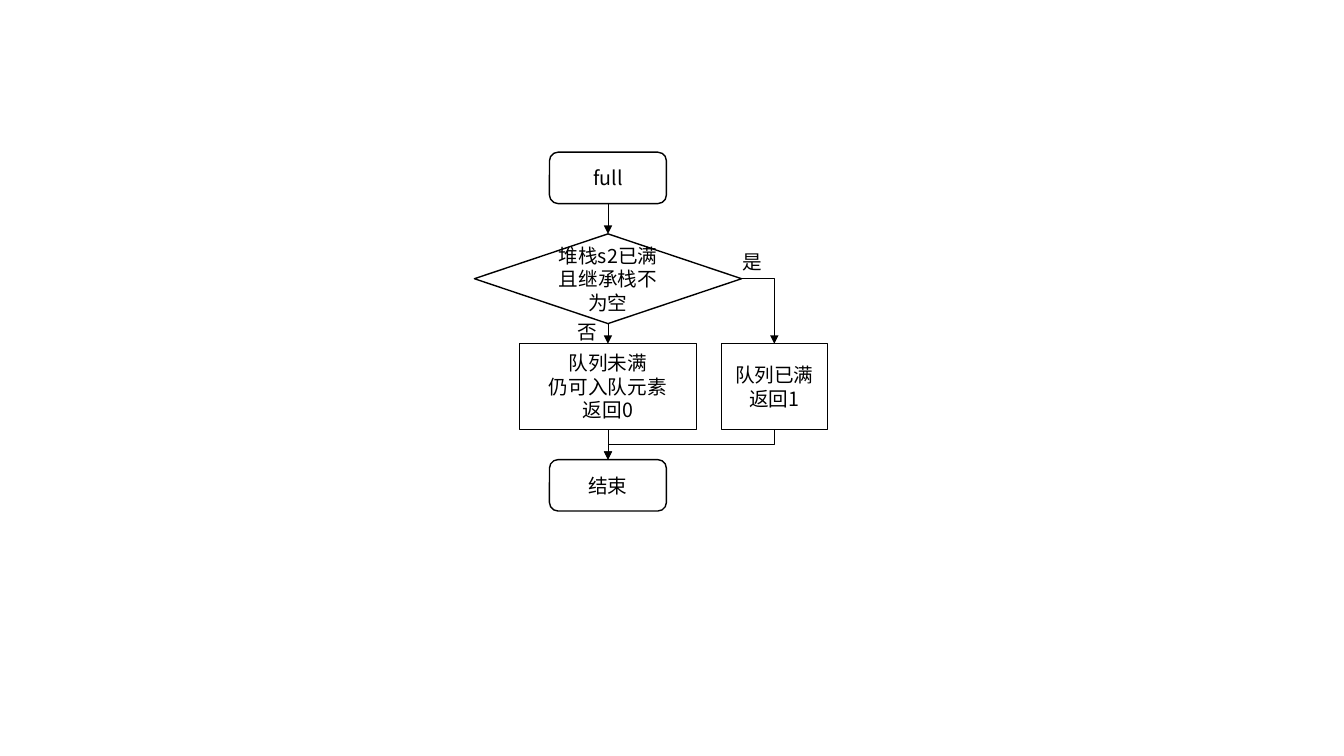
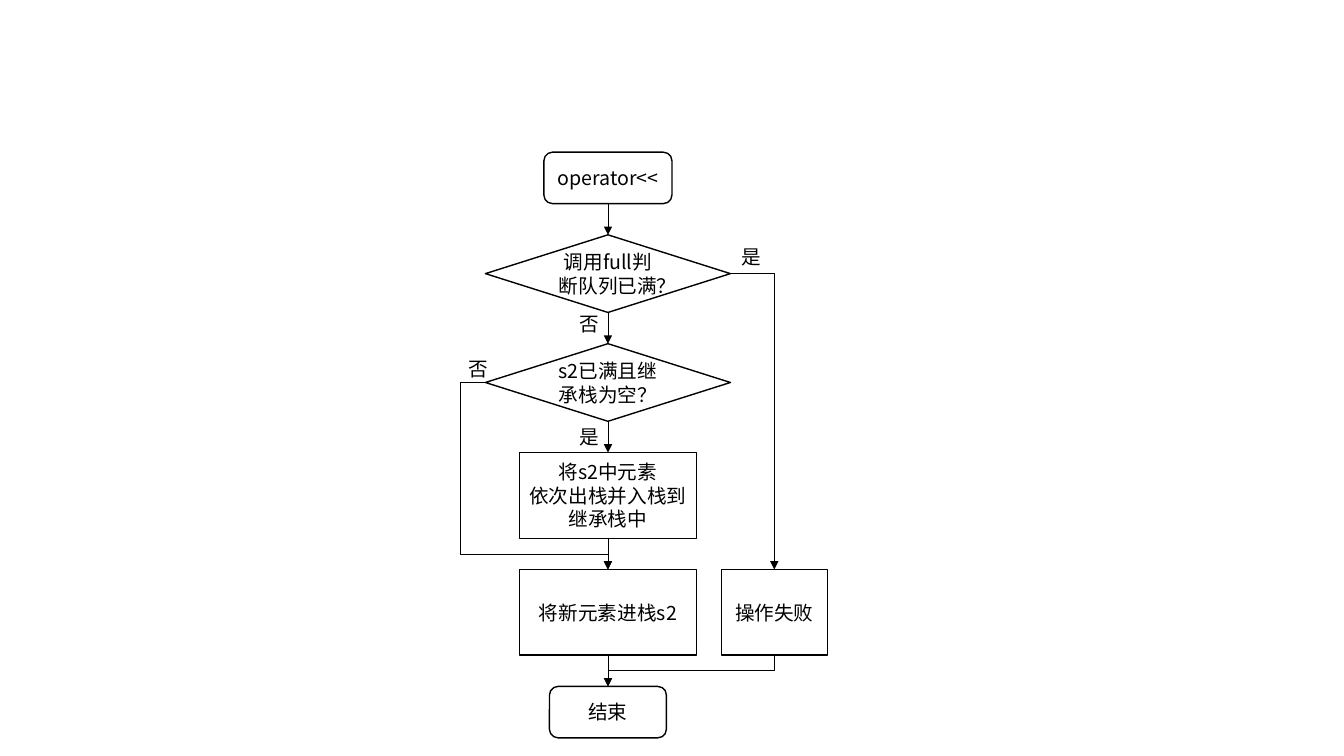
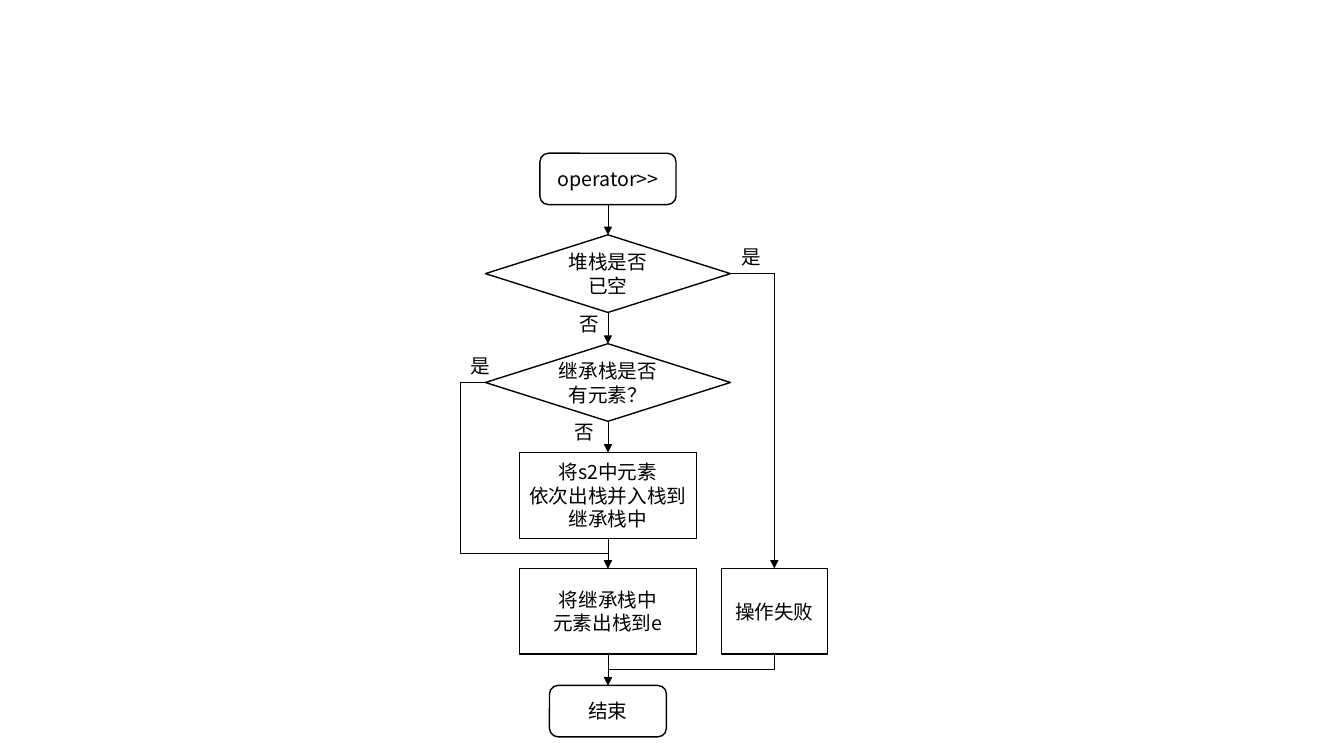
"""Build three flowcharts for a queue made of two stacks."""
from lxml.etree import SubElement
from pptx import Presentation
from pptx.dml.color import RGBColor
from pptx.enum.shapes import MSO_CONNECTOR as Connector, MSO_SHAPE as Shape
from pptx.enum.text import MSO_ANCHOR as Anchor, MSO_AUTO_SIZE as AutoSize, PP_ALIGN as Align
from pptx.oxml.ns import qn
from pptx.util import Inches, Pt

FONT = "Noto Sans CJK SC"
BLACK, WHITE = "000000", "FFFFFF"
MAIN, SIDE = 6.03, 7.68
TOP, LEFT, BOTTOM, RIGHT = range(4)
STEP_SIZE, SIDE_SIZE, END_SIZE = (1.76, 0.85), (1.05, 0.85), (1.16, 0.51)
TEST_SIZE = (2.43, 0.77)
ROUND, DIAMOND, RECT = Shape.ROUNDED_RECTANGLE, Shape.DIAMOND, Shape.RECTANGLE


def write(box, text, size=14, color=BLACK, align=Align.CENTER, anchor=Anchor.MIDDLE, wrap=True):
    """Fill a box with one paragraph per line of text."""
    frame = box.text_frame
    frame.word_wrap, frame.vertical_anchor = wrap, anchor
    for index, line in enumerate(text.split("\n")):
        para = frame.add_paragraph() if index else frame.paragraphs[0]
        para.alignment = align
        span = para.add_run()
        span.text = line
        span.font.size, span.font.name = Pt(size), FONT
        span.font.color.rgb = RGBColor.from_string(color)
        SubElement(span.font._element, qn("a:ea"), typeface=FONT)


def link(page, start, start_site, end, end_site, preset="line", adjusts=()):
    """Join two boxes with a thin arrow."""
    arrow = page.shapes.add_connector(Connector.ELBOW, 0, 0, 0, 0)
    arrow.begin_connect(start, start_site)
    arrow.end_connect(end, end_site)
    arrow.line.width = Pt(0.5)
    arrow.line.color.rgb = RGBColor.from_string(BLACK)
    properties = arrow.element.spPr
    SubElement(properties.find(qn("a:ln")), qn("a:tailEnd"), type="triangle")
    SubElement(properties, qn("a:effectLst"))
    geometry = properties.find(qn("a:prstGeom"))
    geometry.set("prst", preset)
    for number, value in enumerate(adjusts, 1):
        SubElement(geometry.find(qn("a:avLst")), qn("a:gd"), name=f"adj{number}", fmla=f"val {value}")
    if preset == "bentConnector3":
        width, height = arrow.width, arrow.height
        shift = (width - height) // 2
        arrow.left, arrow.top = arrow.left + shift, arrow.top - shift
        arrow.width, arrow.height = height, width
        frame = properties.find(qn("a:xfrm"))
        frame.attrib.pop("flipH", None)
        frame.set("rot", "5400000")


MOVE = "将s2中元素\n依次出栈并入栈到继承栈中"
charts = [
    {
        "column": [
            (ROUND, "full", 1.51, END_SIZE),
            (DIAMOND, "堆栈s2已满且继承栈不为空", 2.32, (2.65, 0.89)),
            (RECT, "队列未满\n仍可入队元素\n返回0", 3.41, STEP_SIZE),
            (ROUND, "结束", 4.56, END_SIZE),
        ],
        "side": "队列已满\n返回1",
        "labels": [("否", 5.63, 3.12), ("是", 7.27, 2.43)],
    },
    {
        "column": [
            (ROUND, "operator<<", 1.51, (1.27, 0.51)),
            (DIAMOND, "调用full判断队列已满？", 2.33, TEST_SIZE),
            (DIAMOND, "s2已满且继承栈为空？", 3.41, TEST_SIZE),
            (RECT, MOVE, 4.49, STEP_SIZE),
            (RECT, "将新元素进栈s2", 5.65, STEP_SIZE),
            (ROUND, "结束", 6.81, END_SIZE),
        ],
        "side": "操作失败",
        "labels": [("否", 5.65, 3.05), ("是", 7.26, 2.38), ("否", 4.55, 3.49), ("是", 5.65, 4.17)],
    },
    {
        "column": [
            (ROUND, "operator>>", 1.52, (1.35, 0.51)),
            (DIAMOND, "堆栈是否\n已空", 2.33, TEST_SIZE),
            (DIAMOND, "继承栈是否\n有元素？", 3.41, TEST_SIZE),
            (RECT, MOVE, 4.49, STEP_SIZE),
            (RECT, "将继承栈中\n元素出栈到e", 5.64, STEP_SIZE),
            (ROUND, "结束", 6.8, END_SIZE),
        ],
        "side": "操作失败",
        "labels": [("否", 5.65, 3.05), ("是", 7.26, 2.38), ("是", 4.57, 3.46), ("否", 5.6, 4.12)],
    },
]

deck = Presentation()
deck.slide_width, deck.slide_height = Inches(13.33), Inches(7.5)

for chart in charts:
    page = deck.slides.add_slide(deck.slide_layouts[6])
    column = chart["column"]
    last_step_top = column[-2][2]
    placed = [(MAIN, *entry) for entry in column]
    placed.append((SIDE, RECT, chart["side"], last_step_top, SIDE_SIZE))

    boxes = []
    for center, kind, text, top, (width, height) in placed:
        box = page.shapes.add_shape(
            kind, Inches(center - width / 2), Inches(top), Inches(width), Inches(height))
        box.shadow.inherit = False
        box.fill.solid()
        box.fill.fore_color.rgb = RGBColor.from_string(WHITE)
        box.line.color.rgb = RGBColor.from_string(BLACK)
        box.line.width = Pt(1)
        write(box, text)
        boxes.append(box)

    *steps, side = boxes
    for upper, lower in zip(steps, steps[1:]):
        link(page, upper, BOTTOM, lower, TOP)
    link(page, steps[1], RIGHT, side, TOP, "bentConnector2")
    link(page, side, BOTTOM, steps[-1], TOP, "bentConnector3", [50000])
    if len(steps) > 4:
        link(page, steps[2], LEFT, steps[4], TOP, "bentConnector4", [-20600, 92000])

    for text, left, top in chart["labels"]:
        label = page.shapes.add_textbox(Inches(left), Inches(top), Inches(0.4), Inches(0.34))
        write(label, text, align=Align.LEFT, anchor=Anchor.TOP, wrap=False)
        label.text_frame.auto_size = AutoSize.SHAPE_TO_FIT_TEXT

deck.save("out.pptx")
